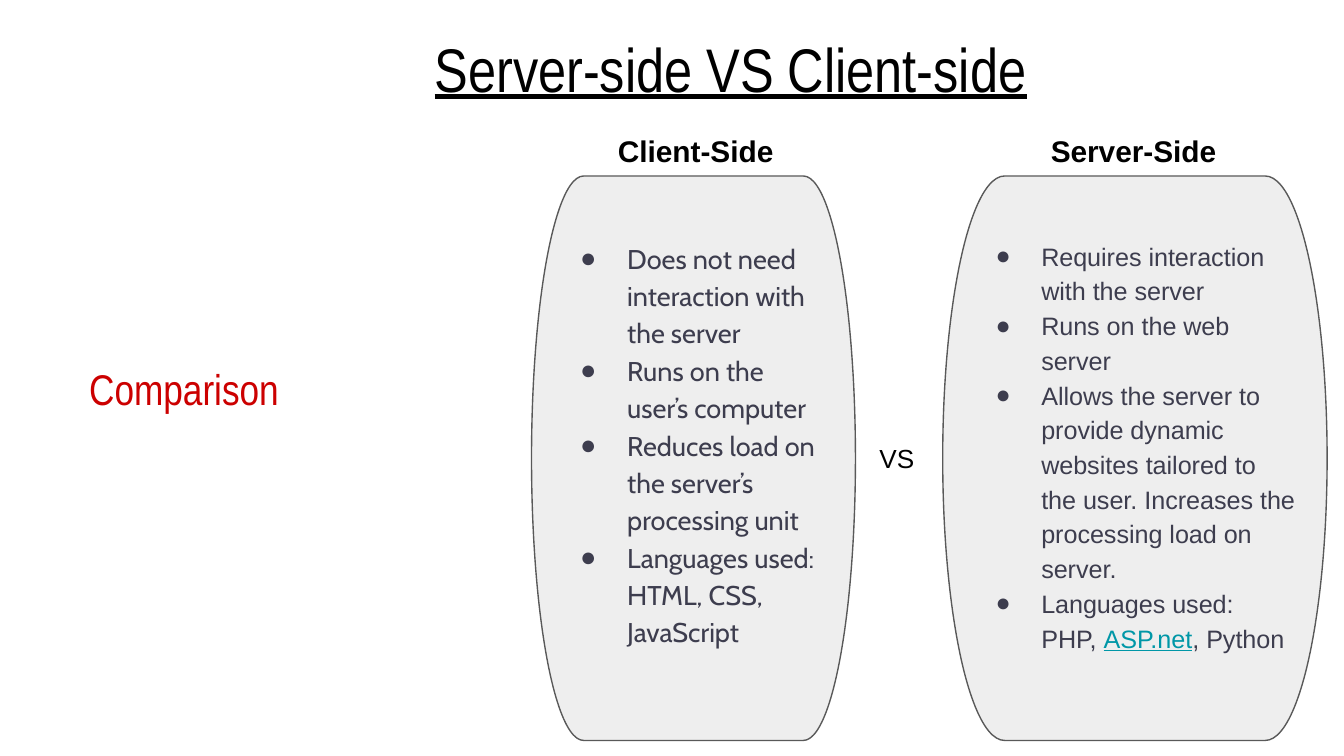
from lxml.etree import SubElement
from pptx import Presentation
from pptx.dml.color import RGBColor
from pptx.enum.shapes import MSO_SHAPE
from pptx.enum.text import MSO_ANCHOR, MSO_AUTO_SIZE, PP_ALIGN
from pptx.oxml.ns import qn
from pptx.util import Pt

PX = 4572  # EMU in one px, 200 px to the inch
PAD = 20
COLORS = {
    "black": "000000",
    "red": "CC0000",
    "ink": "3D3D4E",
    "teal": "0097A7",
    "fill": "EEEEEE",
    "edge": "595959",
}


def rgb(name):
    return RGBColor.from_string(COLORS[name])


def write(para, text, size, font="Arial", color="black", bold=False, line=False):
    run = para.add_run()
    run.text = text
    style = run.font
    style.size, style.name = Pt(size), font
    style.bold, style.underline = bold, line
    style.color.rgb = rgb(color)


def mark(para, left, hang):
    """Give the paragraph a round bullet on a hanging indent."""
    props = para._p.get_or_add_pPr()
    props.set("marL", str(left * PX))
    props.set("indent", str(-hang * PX))
    tint = SubElement(props, qn("a:buClr"))
    SubElement(tint, qn("a:srgbClr"), val=COLORS["ink"])
    SubElement(props, qn("a:buFont"), typeface="Arial")
    SubElement(props, qn("a:buChar"), char="●")


class Deck:
    def __init__(self, wide, high):
        self.show = Presentation()
        self.show.slide_width, self.show.slide_height = wide * PX, high * PX
        self.slide = self.show.slides.add_slide(self.show.slide_layouts[6])

    def frame(self, shape, base=PAD):
        frame = shape.text_frame
        frame.word_wrap = True
        frame.margin_left = frame.margin_right = frame.margin_top = PAD * PX
        frame.margin_bottom = base * PX
        return frame

    def label(self, box, text, size, **style):
        shape = self.slide.shapes.add_textbox(*(n * PX for n in box))
        frame = self.frame(shape)
        frame.auto_size = MSO_AUTO_SIZE.SHAPE_TO_FIT_TEXT
        write(frame.paragraphs[0], text, size, **style)

    def panel(self, box, items, size, font, hang, base):
        """Draw a rounded panel; each item is a list of (text, style) parts."""
        shape = self.slide.shapes.add_shape(
            MSO_SHAPE.FLOWCHART_TERMINATOR, *(n * PX for n in box))
        shape.shadow.inherit = False
        shape.fill.solid()
        shape.fill.fore_color.rgb = rgb("fill")
        shape.line.color.rgb = rgb("edge")
        shape.line.width = Pt(0.75)
        frame = self.frame(shape, base)
        frame.vertical_anchor = MSO_ANCHOR.MIDDLE
        for i, parts in enumerate(items):
            para = frame.add_paragraph() if i else frame.paragraphs[0]
            para.alignment = PP_ALIGN.LEFT
            para.line_spacing = 1.15
            para.space_before = Pt(0 if i else 14)
            mark(para, 100, hang)
            for text, style in parts:
                write(para, text, size, font, **{"color": "ink", **style})


def plain(*texts):
    return [[(text, {})] for text in texts]


CLIENT = plain(
    "Does not need interaction with the server",
    "Runs on the user’s computer",
    "Reduces load on the server’s processing unit",
    "Languages used: HTML, CSS, JavaScript",
)
SERVER = plain(
    "Requires interaction with the server",
    "Runs on the web server",
    "Allows the server to provide dynamic websites tailored to the user. "
    "Increases the processing load on server.",
) + [[
    ("Languages used: PHP, ", {}),
    ("ASP.net", {"color": "teal", "line": True}),
    (", Python", {}),
]]


def main():
    deck = Deck(2000, 1125)
    deck.label((113, 520, 452, 118), "Comparison", 23, font="Arial Narrow", color="red")
    deck.label((627, 26, 1076, 152), "Server-side VS Client-side", 33,
               font="Arial Narrow", line=True)
    deck.panel((1403, 262, 572, 840), SERVER, 13.5, "Arial", 68, 60)
    deck.panel((791, 262, 482, 840), CLIENT, 14.5, "Cabin", 70, 66)
    deck.label((1289, 638, 96, 88), "VS", 14)
    for left, text in ((900, "Client-Side"), (1544, "Server-Side")):
        deck.label((left, 178, 332, 94), text, 16, bold=True)
    deck.show.save("out.pptx")


if __name__ == "__main__":
    main()
